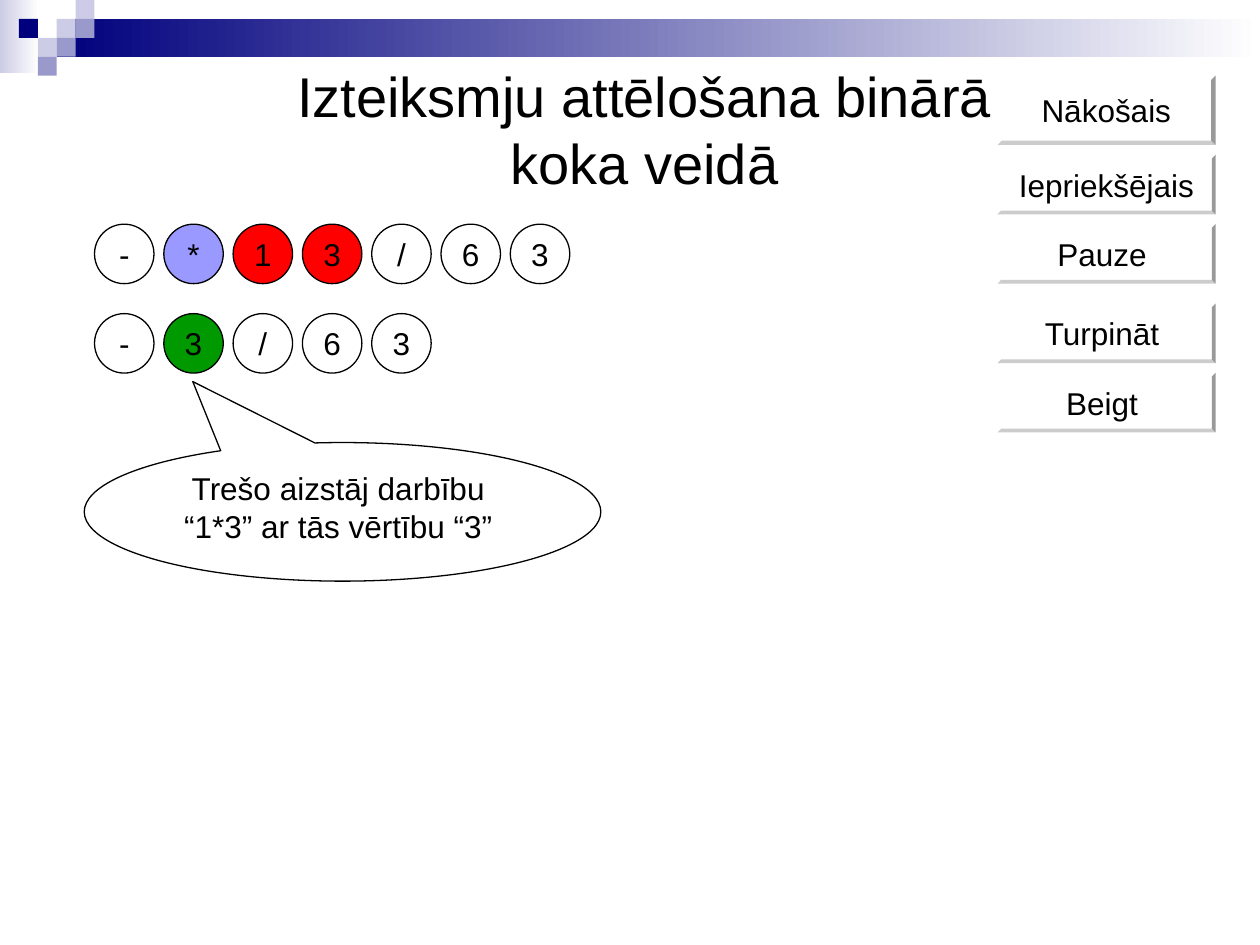
import pptx
import pptx.dml.color
import pptx.enum.shapes
import pptx.enum.text
import pptx.util

Pt = pptx.util.Pt
SHAPE = pptx.enum.shapes.MSO_SHAPE
ANCHOR = pptx.enum.text.MSO_ANCHOR
BLACK, WHITE, RED = "000000", "FFFFFF", "FF0000"
NAVY, LAVENDER, PALE = "00007D", "9999CC", "CCCCE6"
SQUARE = 10.8
CIRCLE, CIRCLE_PITCH, ROW_LEFT = 34, 39.6, 54


def rgb(hex_color):
    return pptx.dml.color.RGBColor.from_string(hex_color)


def add_filled(slide, kind, left, top, width, height, fill, outline=None):
    shape = slide.shapes.add_shape(kind, Pt(left), Pt(top), Pt(width), Pt(height))
    shape.shadow.inherit = False
    shape.fill.solid()
    shape.fill.fore_color.rgb = rgb(fill)
    if outline:
        shape.line.color.rgb = rgb(outline)
        shape.line.width = Pt(0.75)
    else:
        shape.line.fill.background()
    return shape


def add_fade(slide, left, top, width, height, color):
    """Add a bar that fades from color at the left to white at the right."""
    shape = add_filled(slide, SHAPE.RECTANGLE, left, top, width, height, color)
    shape.fill.gradient()
    shape.fill.gradient_angle = 180
    for stop, stop_color in zip(shape.fill.gradient_stops, (WHITE, color)):
        stop.color.rgb = rgb(stop_color)


def set_text(shape, text, size=18, anchor=ANCHOR.MIDDLE, wrap=False):
    frame = shape.text_frame
    frame.text = text
    frame.word_wrap = wrap
    frame.auto_size = pptx.enum.text.MSO_AUTO_SIZE.NONE
    frame.vertical_anchor = anchor
    for paragraph in frame.paragraphs:
        paragraph.alignment = pptx.enum.text.PP_ALIGN.CENTER
        paragraph.font.name = "Arial"
        paragraph.font.size = Pt(size)
        paragraph.font.color.rgb = rgb(BLACK)


def add_header(slide):
    add_fade(slide, 0, 0, 22.3, 41.8, PALE)
    add_fade(slide, 32.4, SQUARE, 687.6, 21.6, NAVY)
    squares = [(3, 1, PALE), (4, 0, PALE), (4, 1, LAVENDER), (2, 2, PALE),
               (1, 1, NAVY), (3, 2, LAVENDER), (2, 3, LAVENDER)]
    for column, row, color in squares:
        add_filled(slide, SHAPE.RECTANGLE, column * SQUARE, row * SQUARE,
                   SQUARE, SQUARE, color)


def add_title(slide, text):
    title = slide.shapes.title
    title.left, title.top = Pt(127.5), Pt(31.7)
    title.width, title.height = Pt(481.7), Pt(84.2)
    set_text(title, text, 32, ANCHOR.TOP, True)


def add_button(slide, text, top, height):
    button = add_filled(slide, SHAPE.BEVEL, 569.8, top, 124.8, height, WHITE)
    button.adjustments[0] = 0.0625
    set_text(button, text)


def add_token_row(slide, top, tokens):
    for index, (text, color) in enumerate(tokens):
        circle = add_filled(slide, SHAPE.OVAL, ROW_LEFT + index * CIRCLE_PITCH, top,
                            CIRCLE, CIRCLE, color, BLACK)
        set_text(circle, text)


def add_callout(slide, text):
    callout = add_filled(slide, SHAPE.OVAL_CALLOUT, 48.2, 252.9, 295.2, 79.2,
                         WHITE, BLACK)
    callout.adjustments[0] = -0.29
    callout.adjustments[1] = -0.94
    set_text(callout, text, anchor=ANCHOR.TOP, wrap=True)


def main():
    presentation = pptx.Presentation()
    presentation.slide_width, presentation.slide_height = Pt(720), Pt(540)
    slide = presentation.slides.add_slide(presentation.slide_layouts[5])

    add_header(slide)
    add_title(slide, "Izteiksmju attēlošana binārā koka veidā")
    buttons = [("Nākošais", 43.2, 39.6), ("Iepriekšējais", 88.5, 34),
               ("Pauze ", 128.1, 34), ("Turpināt ", 173.5, 34), ("Beigt ", 213.1, 34)]
    for text, top, height in buttons:
        add_button(slide, text, top, height)
    add_callout(slide, "Trešo aizstāj darbību \n“1*3” ar tās vērtību “3” ")
    add_token_row(slide, 128.1, [("-", WHITE), ("*", "9999FF"), ("1", RED), ("3", RED),
                                 ("/", WHITE), ("6", WHITE), ("3", WHITE)])
    add_token_row(slide, 179.2, [("-", WHITE), ("3", "009900"), ("/", WHITE),
                                 ("6", WHITE), ("3", WHITE)])
    presentation.save("out.pptx")


if __name__ == "__main__":
    main()
